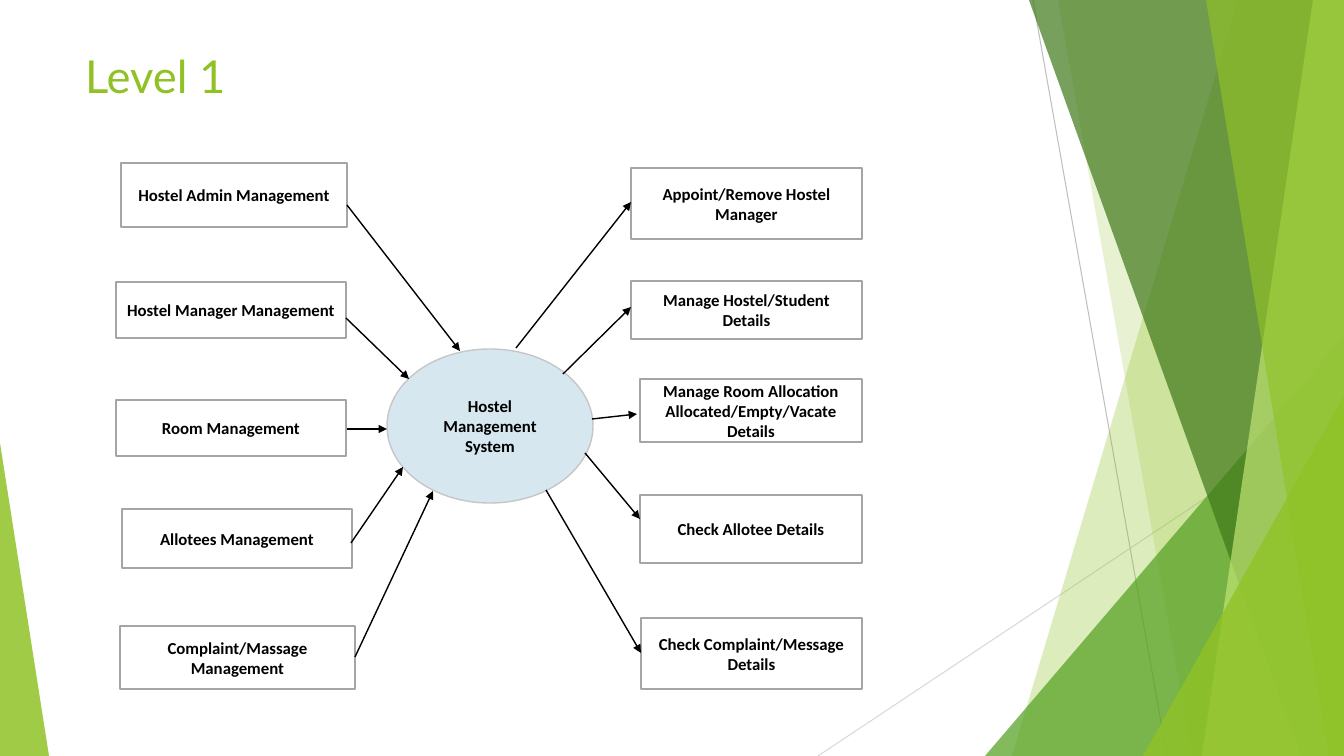
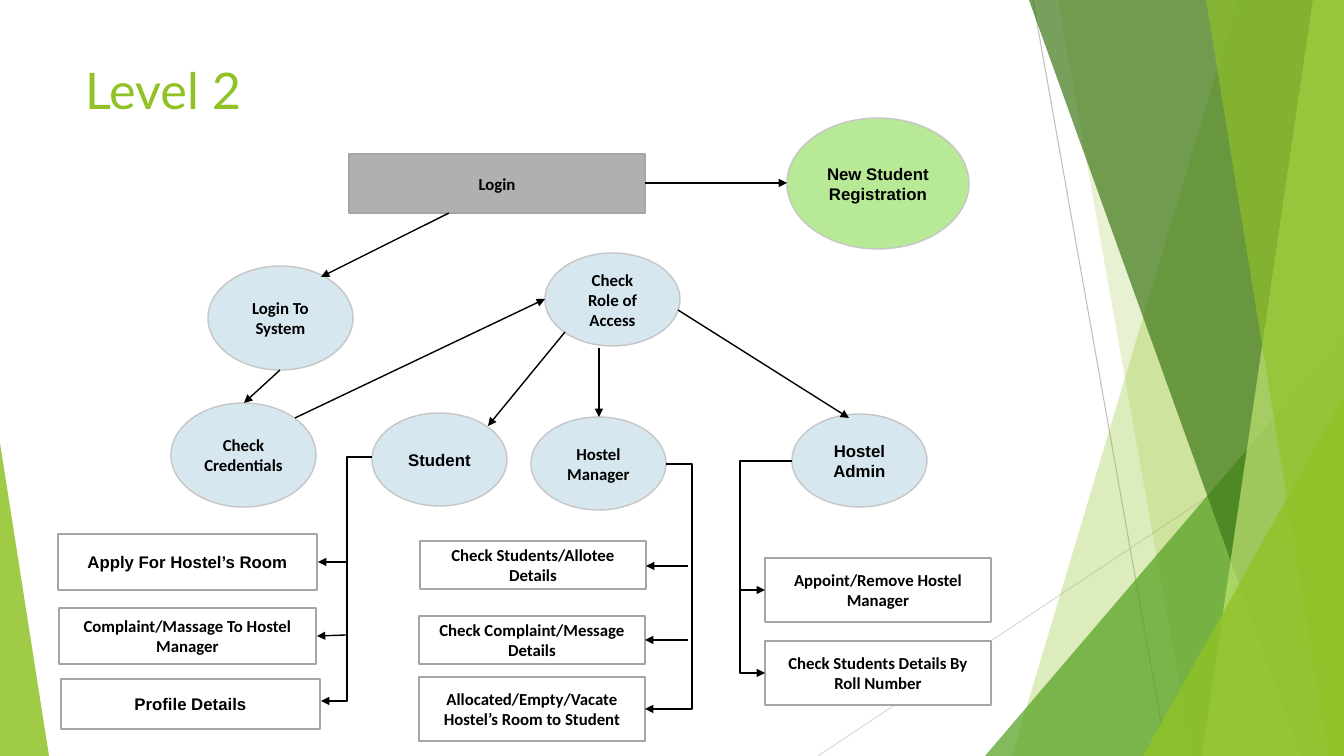
from dataclasses import dataclass
from typing import Any, Optional, Union

import lxml.etree
import pptx
import pptx.dml.color
import pptx.enum.shapes
import pptx.enum.text
import pptx.oxml.ns
import pptx.util

W, H = 1344, 756  # slide size in px
PX = 12192000 / W  # EMU per px
SHAPE = pptx.enum.shapes.MSO_SHAPE
LINK = pptx.enum.shapes.MSO_CONNECTOR
ANCHOR = pptx.enum.text.MSO_ANCHOR
ALIGN = pptx.enum.text.PP_ALIGN


@dataclass(frozen=True)
class Theme:
    lime: str = "90C226"
    green: str = "54A021"
    forest: str = "3F7819"
    pale: str = "C0E474"
    ink: str = "000000"
    white: str = "FFFFFF"
    blue: str = "D7E7F0"
    mint: str = "B7E996"
    grey: str = "B0B0B0"
    box_line: str = "A5A5A5"
    oval_line: str = "C6C6C6"
    ray_dark: str = "BFBFBF"
    ray_light: str = "D9D9D9"
    title_font: str = "Lato"
    body_font: str = "Calibri"
    alt_font: str = "Arial"
    body_size: float = 12
    line_width: float = 1
    ray_width: float = 0.75


T = Theme()


@dataclass(frozen=True)
class Facet:
    """Backdrop panel reaching the right edge, with a slanted left edge."""
    top: int
    bottom: int
    color: str
    alpha: int


@dataclass(frozen=True)
class Wedge:
    """Backdrop triangle; apex 0 is at its left, 1 at its right."""
    x: int
    y: int
    w: int
    h: int
    apex: int
    color: str
    alpha: int


@dataclass(frozen=True)
class Node:
    text: str
    x: int
    y: int
    w: int
    h: int
    fill: str = T.white
    font: str = T.body_font
    oval: bool = False


@dataclass(frozen=True)
class Link:
    x1: int
    y1: int
    x2: int
    y2: int
    bend: Optional[int] = None  # x of the upright part of an elbow


@dataclass(frozen=True)
class Page:
    title: str
    title_y: int
    title_h: int
    title_size: float
    nodes: list[Node]
    links: list[Link]


# Shared helpers
def emu(*px: int) -> list[int]:
    return [pptx.util.Emu(round(v * PX)) for v in px]


def rgb(color: str) -> pptx.dml.color.RGBColor:
    return pptx.dml.color.RGBColor.from_string(color)


def apply(obj: Any, values: dict[str, Any]) -> None:
    for name, value in values.items():
        setattr(obj, name, value)


def sub(parent: Any, tag: str, **attrs: str) -> None:
    lxml.etree.SubElement(parent, pptx.oxml.ns.qn(tag), attrs)


def style_font(font: Any, color: str, **values: Any) -> None:
    apply(font, values)
    font.color.rgb = rgb(color)


def paint(sp: Any, color: str) -> None:
    sp.shadow.inherit = False
    sp.fill.solid()
    sp.fill.fore_color.rgb = rgb(color)


def add_line(s: Any, link: Link, color: str, width: float) -> Any:
    kind = LINK.STRAIGHT if link.bend is None else LINK.ELBOW
    c = s.shapes.add_connector(kind, *emu(link.x1, link.y1, link.x2, link.y2))
    c.line.color.rgb = rgb(color)
    c.line.width = pptx.util.Pt(width)
    sub(c.element.spPr, "a:effectLst")
    return c


# Backdrop
BACKDROP: list[Union[Facet, Wedge]] = [
    Facet(1238, 1012, T.lime, 30),
    Facet(1058, 1192, T.lime, 20),
    Wedge(985, 336, 359, 420, 1, T.green, 72),
    Facet(1029, 1301, T.forest, 70),
    Facet(1313, 1202, T.pale, 70),
    Facet(1206, 1329, T.lime, 65),
    Wedge(1143, 396, 201, 360, 1, T.lime, 80),
    Wedge(0, 443, 49, 313, 0, T.lime, 85),
]


def add_panel(s: Any, part: Union[Facet, Wedge]) -> Any:
    if isinstance(part, Facet):
        fb = s.shapes.build_freeform(part.top, 0, scale=PX)
        fb.add_line_segments([(W, 0), (W, H), (part.bottom, H)], close=True)
        sp = fb.convert_to_shape()
    else:
        sp = s.shapes.add_shape(SHAPE.ISOSCELES_TRIANGLE,
                                *emu(part.x, part.y, part.w, part.h))
        sp.adjustments[0] = part.apex
    paint(sp, part.color)
    sp.line.fill.background()
    clr = sp.element.xpath("./p:spPr/a:solidFill/a:srgbClr")[0]
    sub(clr, "a:alpha", val=str(part.alpha * 1000))
    return sp


def add_backdrop(s: Any) -> None:
    """Draw the backdrop and hand it to the layout, so every slide shows it."""
    parts = [
        add_line(s, Link(1033, 0, 1167, H), T.ray_dark, T.ray_width),
        add_line(s, Link(W, 406, 818, H), T.ray_light, T.ray_width),
    ]
    parts += [add_panel(s, part) for part in BACKDROP]
    for i, sp in enumerate(parts, start=100):
        sp.element.xpath("./*/p:cNvPr")[0].set("id", str(i))
        s.slide_layout.element.cSld.spTree.append(sp.element)


# Slide parts
def add_title(s: Any, page: Page) -> None:
    title = s.shapes.title
    x, y, w, h = emu(75, page.title_y, 948, page.title_h)
    apply(title, {"left": x, "top": y, "width": w, "height": h})
    tf = title.text_frame
    apply(tf, {"text": page.title, "word_wrap": True,
               "vertical_anchor": ANCHOR.TOP,
               "auto_size": pptx.enum.text.MSO_AUTO_SIZE.NONE})
    p = tf.paragraphs[0]
    p.alignment = ALIGN.LEFT
    style_font(p.runs[0].font, T.lime, name=T.title_font,
               size=pptx.util.Pt(page.title_size))


def add_node(s: Any, node: Node) -> None:
    kind = SHAPE.OVAL if node.oval else SHAPE.RECTANGLE
    sp = s.shapes.add_shape(kind, *emu(node.x, node.y, node.w, node.h))
    paint(sp, node.fill)
    sp.line.color.rgb = rgb(T.oval_line if node.oval else T.box_line)
    sp.line.width = pptx.util.Pt(T.line_width)
    tf = sp.text_frame
    apply(tf, {"text": node.text, "word_wrap": True,
               "vertical_anchor": ANCHOR.MIDDLE})
    p = tf.paragraphs[0]
    p.alignment = ALIGN.CENTER
    style_font(p.runs[0].font, T.ink, name=node.font, bold=True,
               size=pptx.util.Pt(T.body_size))


def add_arrow(s: Any, link: Link) -> None:
    c = add_line(s, link, T.ink, T.line_width)
    ln = c.element.spPr.find(pptx.oxml.ns.qn("a:ln"))
    sub(ln, "a:tailEnd", type="triangle")
    if link.bend is not None:
        ratio = (link.bend - link.x1) / (link.x2 - link.x1)
        geom = c.element.spPr.find(pptx.oxml.ns.qn("a:prstGeom"))
        av = geom.find(pptx.oxml.ns.qn("a:avLst"))
        sub(av, "a:gd", name="adj1", fmla=f"val {round(ratio * 100000)}")


def oval(text: str, x: int, y: int, w: int = 135, h: int = 93,
         fill: str = T.blue, font: str = T.body_font) -> Node:
    return Node(text, x, y, w, h, fill, font, True)


# Content
PAGES = [
    Page("Level 1", 43, 70, 32.4, [
        oval("Hostel Management System", 387, 349, 206, 154),
        Node("Hostel Admin Management", 121, 163, 226, 64),
        Node("Hostel Manager Management", 116, 282, 230, 56),
        Node("Room Management", 116, 400, 230, 56),
        Node("Allotees Management", 122, 509, 230, 59),
        Node("Complaint/Massage Management", 120, 626, 235, 63),
        Node("Appoint/Remove Hostel Manager", 631, 168, 231, 71),
        Node("Manage Hostel/Student Details", 631, 281, 231, 58),
        Node("Manage Room Allocation Allocated/Empty/Vacate Details",
             640, 379, 222, 63),
        Node("Check Allotee Details", 640, 495, 222, 68),
        Node("Check Complaint/Message Details", 641, 618, 221, 71),
    ], [
        Link(347, 205, 460, 351),
        Link(346, 318, 409, 379),
        Link(347, 429, 387, 429),
        Link(351, 543, 403, 467),
        Link(355, 657, 433, 491),
        Link(516, 348, 631, 202),
        Link(563, 374, 631, 307),
        Link(592, 419, 637, 414),
        Link(585, 453, 640, 519),
        Link(546, 490, 641, 653),
    ]),
    Page("Level 2", 54, 81, 36, [
        Node("Login", 349, 154, 296, 59, T.grey),
        oval("New Student Registration", 787, 118, 182, 131, T.mint, T.alt_font),
        oval("Login To System", 208, 266, 145, 104),
        oval("Check Credentials", 171, 403, 145, 104),
        oval("Check Role of Access", 545, 253),
        oval("Student", 372, 413, font=T.alt_font),
        oval("Hostel Manager", 531, 417),
        oval("Hostel Admin", 792, 414, font=T.alt_font),
        Node("Apply For Hostel’s Room", 58, 534, 259, 56, font=T.alt_font),
        Node("Complaint/Massage To Hostel Manager", 59, 608, 257, 56),
        Node("Profile Details", 61, 679, 259, 50, font=T.alt_font),
        Node("Check Students/Allotee Details", 420, 541, 226, 48),
        Node("Check Complaint/Message Details", 419, 616, 226, 48),
        Node("Allocated/Empty/Vacate Hostel’s Room to Student",
             419, 677, 226, 64),
        Node("Appoint/Remove Hostel Manager", 765, 558, 226, 64),
        Node("Check Students Details By Roll Number", 765, 641, 226, 64),
    ], [
        Link(645, 183, 787, 183),
        Link(449, 213, 321, 277),
        Link(280, 370, 244, 403),
        Link(295, 418, 545, 299),
        Link(565, 332, 488, 426),
        Link(599, 348, 599, 417),
        Link(678, 310, 849, 418),
        Link(372, 457, 321, 701, bend=347),
        Link(347, 562, 318, 562),
        Link(347, 635, 317, 636),
        Link(666, 464, 645, 709, bend=692),
        Link(688, 566, 646, 566),
        Link(688, 640, 645, 640),
        Link(792, 461, 765, 673, bend=740),
        Link(740, 590, 765, 590),
    ]),
]


def main() -> None:
    prs = pptx.Presentation()
    prs.slide_width, prs.slide_height = emu(W, H)
    layout = prs.slide_layouts.get_by_name("Title Only")
    for i, page in enumerate(PAGES):
        s = prs.slides.add_slide(layout)
        if i == 0:
            add_backdrop(s)
        add_title(s, page)
        for node in page.nodes:
            add_node(s, node)
        for link in page.links:
            add_arrow(s, link)
    prs.save("out.pptx")


if __name__ == "__main__":
    main()
